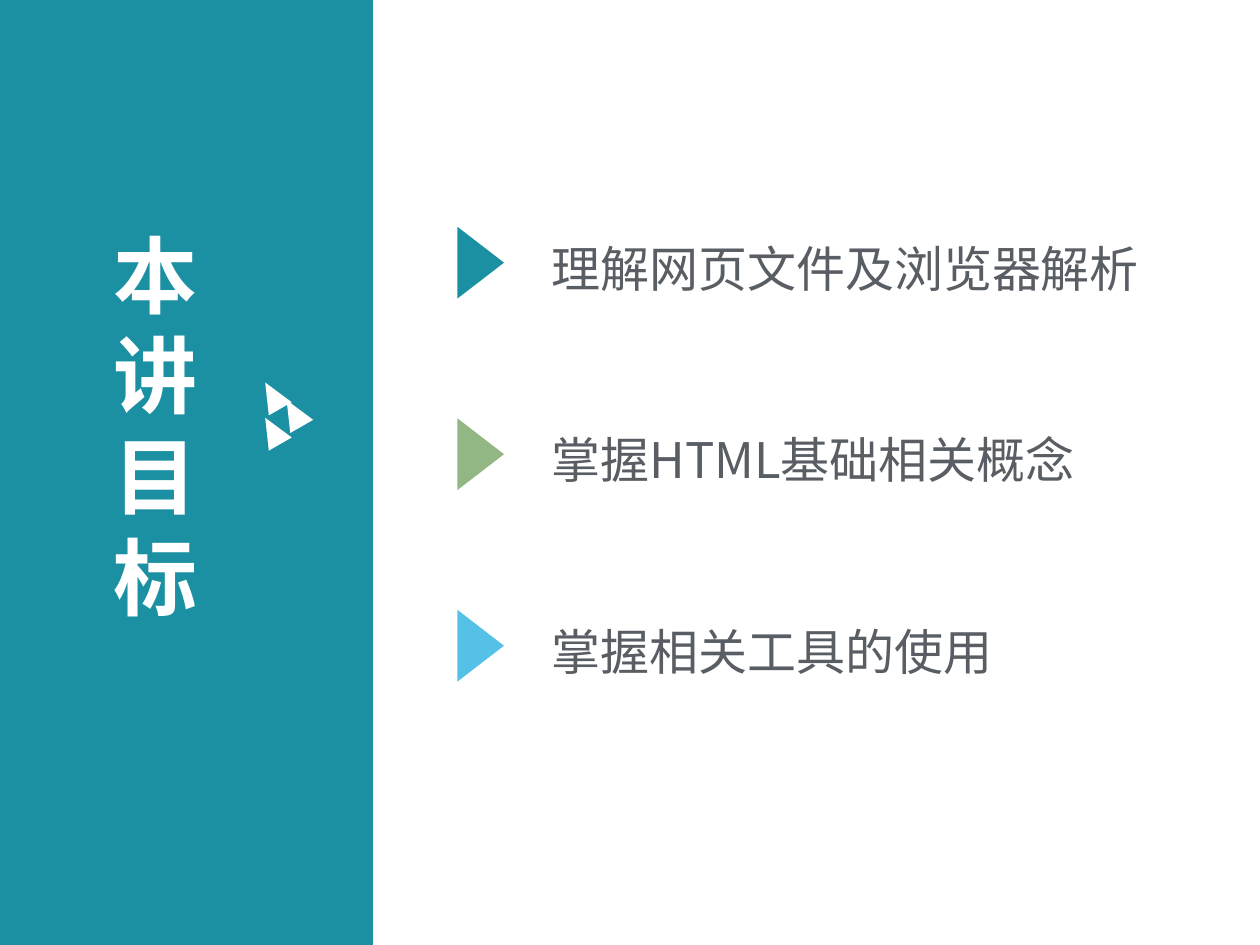
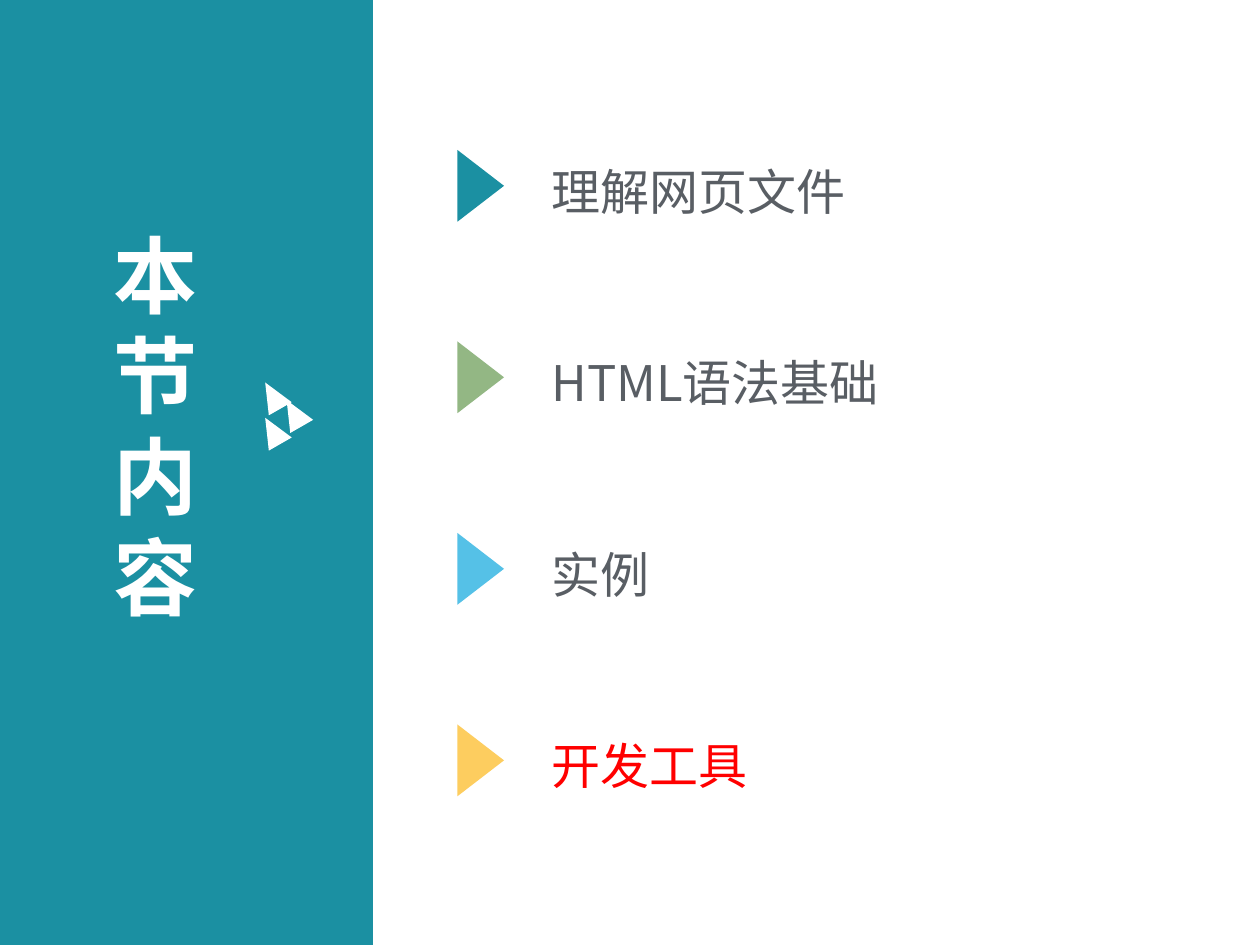
"""Builds two agenda slides with a side band, a stacked title and coloured bullets."""
from pptx import Presentation
from pptx.dml.color import RGBColor
from pptx.enum.shapes import MSO_SHAPE
from pptx.enum.text import MSO_ANCHOR, MSO_AUTO_SIZE, PP_ALIGN
from pptx.util import Inches, Pt

RECTANGLE = MSO_SHAPE.RECTANGLE
TRIANGLE = MSO_SHAPE.ISOSCELES_TRIANGLE
TOP = MSO_ANCHOR.TOP
NO_AUTOFIT = MSO_AUTO_SIZE.NONE
LEFT = PP_ALIGN.LEFT

COLORS = {
    "teal": "1B90A2",
    "green": "93B784",
    "blue": "55C1E7",
    "yellow": "FDCD5F",
    "white": "FFFFFF",
    "gray": "595E64",
    "red": "FF0000",
}
FONT = "Noto Sans CJK SC"
TITLE_ONLY = 5
LINE_HEIGHT = 1.2
ROW_PITCH = 1.52
BULLET_COLORS = ("teal", "green", "blue", "yellow")
ORNAMENT_POINTS = ((2.06, 3.02), (2.06, 3.3), (2.23, 3.16))

AGENDAS = (
    ("本讲目标", 1.8, (
        ("理解网页文件及浏览器解析", 5.32, "gray"),
        ("掌握HTML基础相关概念", 5.09, "gray"),
        ("掌握相关工具的使用", 4.99, "gray"),
    )),
    ("本节内容", 1.19, (
        ("理解网页文件", 5.72, "gray"),
        ("HTML语法基础", 5.54, "gray"),
        ("实例", 5.54, "gray"),
        ("开发工具", 3, "red"),
    )),
)


class AgendaDeck:
    def __init__(self):
        self.presentation = Presentation()
        self.presentation.slide_width = Inches(10)
        self.presentation.slide_height = Inches(7.5)
        self.slide = None

    def add_slide(self):
        layout = self.presentation.slide_layouts[TITLE_ONLY]
        self.slide = self.presentation.slides.add_slide(layout)

    def add_filled(self, shapes, kind, box, color, rotation=0):
        shape = shapes.add_shape(kind, *map(Inches, box))
        shape.rotation = rotation
        shape.shadow.inherit = False
        shape.fill.solid()
        shape.fill.fore_color.rgb = RGBColor.from_string(COLORS[color])
        shape.line.fill.background()
        return shape

    def style_text(self, shape, text, size, color, bold=False):
        frame = shape.text_frame
        frame.text = text
        frame.word_wrap = True
        frame.auto_size = NO_AUTOFIT
        frame.vertical_anchor = TOP
        frame.margin_top = Inches(0.09)
        paragraph = frame.paragraphs[0]
        paragraph.alignment = LEFT
        paragraph.line_spacing = Pt(size * LINE_HEIGHT)
        font = paragraph.runs[0].font
        font.name = FONT
        font.size = Pt(size)
        font.bold = bold
        font.color.rgb = RGBColor.from_string(COLORS[color])

    def add_title(self, text):
        title = self.slide.shapes.title
        title.left, title.top = Inches(0.8), Inches(1.68)
        title.width, title.height = Inches(1.31), Inches(3.33)
        self.style_text(title, text, 48, "white", bold=True)

    def add_band(self):
        shapes = self.slide.shapes
        band = self.add_filled(shapes, RECTANGLE, (0, 0, 2.96, 7.5), "teal")
        shapes.title.element.addprevious(band.element)

    def add_ornament(self):
        group = self.slide.shapes.add_group_shape()
        for left, top in ORNAMENT_POINTS:
            self.add_filled(group.shapes, TRIANGLE, (left, top, 0.21, 0.24), "white", 330.2)

    def add_item(self, top, text, width, text_color, bullet_color):
        shapes = self.slide.shapes
        self.add_filled(shapes, TRIANGLE, (3.53, top + 0.1, 0.57, 0.37), bullet_color, 90)
        box = shapes.add_textbox(Inches(4.28), Inches(top), Inches(width), Inches(0.57))
        self.style_text(box, text, 28, text_color)

    def add_agenda(self, title, first_top, items):
        self.add_slide()
        self.add_title(title)
        self.add_band()
        self.add_ornament()
        for row, (item, bullet_color) in enumerate(zip(items, BULLET_COLORS)):
            self.add_item(first_top + row * ROW_PITCH, *item, bullet_color)


def main():
    deck = AgendaDeck()
    for agenda in AGENDAS:
        deck.add_agenda(*agenda)
    deck.presentation.save("out.pptx")


if __name__ == "__main__":
    main()
